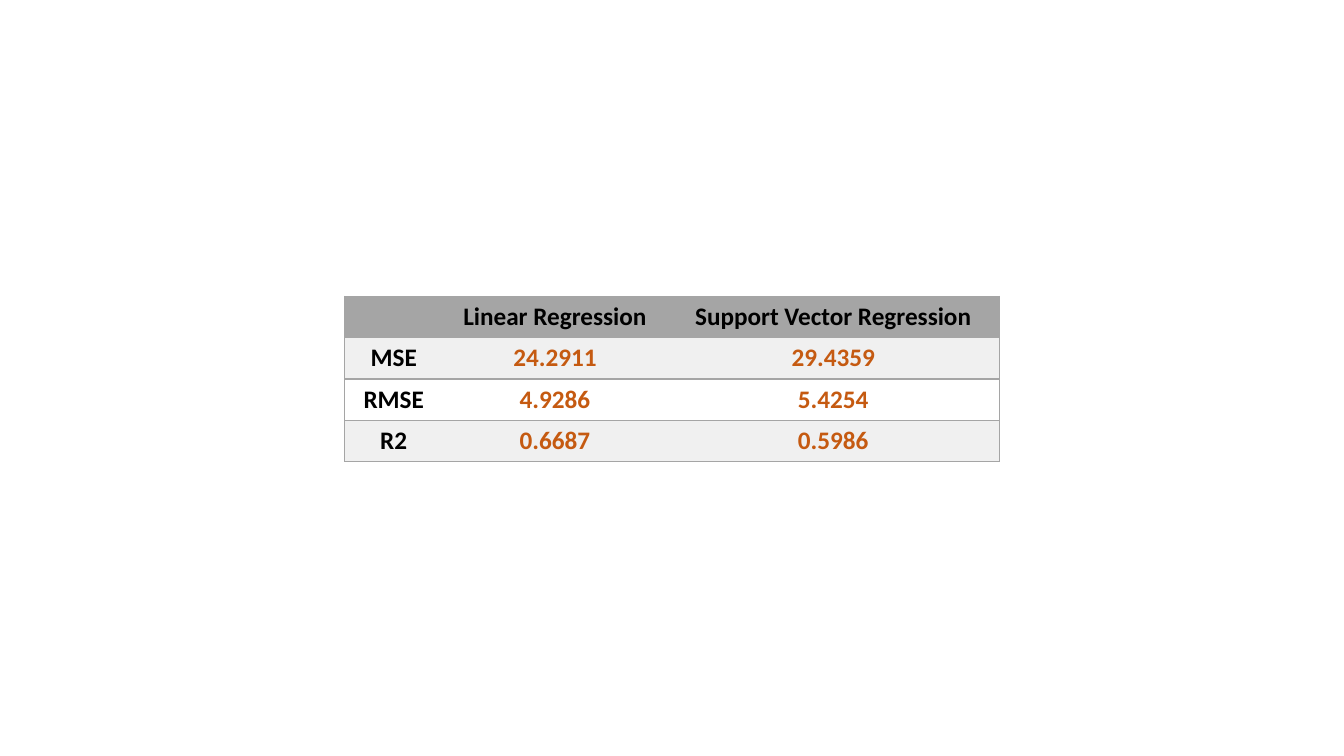
import pptx
import pptx.dml.color
import pptx.enum.text
import pptx.oxml.ns
import pptx.util
from lxml import etree

RGBColor = pptx.dml.color.RGBColor
GREY = RGBColor(0xA5, 0xA5, 0xA5)
PALE = RGBColor(0xF0, 0xF0, 0xF0)
WHITE = RGBColor(0xFF, 0xFF, 0xFF)
BLACK = RGBColor(0x00, 0x00, 0x00)
ORANGE = RGBColor(0xC5, 0x5A, 0x11)

EMU_PER_PX = 9144  # 100 px to the inch

SCORES = [
    ["", "Linear Regression", "Support Vector Regression"],
    ["MSE", "24.2911", "29.4359"],
    ["RMSE", "4.9286", "5.4254"],
    ["R2", "0.6687", "0.5986"],
]


def px(length):
    return pptx.util.Emu(length * EMU_PER_PX)


def write_text(frame, text, *, font, size, color, bold=False):
    para = frame.paragraphs[0]
    para.alignment = pptx.enum.text.PP_ALIGN.CENTER
    if not text:
        return
    span = para.add_run()
    span.text = text
    span.font.name = font
    span.font.size = pptx.util.Pt(size)
    span.font.bold = bold
    span.font.color.rgb = color


class SlideBuilder:
    font = "Calibri"
    text_size = 18
    line_width = 1

    def __init__(self, page):
        self.page = page

    def border(self, cell, lined_sides):
        """Line the given sides of a cell and clear the others."""
        properties = cell._tc.get_or_add_tcPr()
        qn = pptx.oxml.ns.qn
        for side in "LRTB":
            line = etree.SubElement(properties, qn(f"a:ln{side}"))
            line.set("w", str(pptx.util.Pt(self.line_width)))
            if side in lined_sides:
                fill = etree.SubElement(line, qn("a:solidFill"))
                etree.SubElement(fill, qn("a:srgbClr")).set("val", str(GREY))
            else:
                etree.SubElement(line, qn("a:noFill"))

    def table(self, left, top, widths, row_height, rows):
        frame = self.page.shapes.add_table(
            len(rows), len(widths), px(left), px(top),
            px(sum(widths)), px(row_height * len(rows)))
        table = frame.table
        table.first_row = table.horz_banding = False
        for column, width in zip(table.columns, widths):
            column.width = px(width)
        for i, texts in enumerate(rows):
            table.rows[i].height = px(row_height)
            row_fill = GREY if i == 0 else PALE if i % 2 else WHITE
            for j, text in enumerate(texts):
                cell = table.cell(i, j)
                sides = "TB" + "L" * (j == 0) + "R" * (j == len(widths) - 1)
                self.border(cell, sides)
                cell.fill.solid()
                cell.fill.fore_color.rgb = row_fill
                color = ORANGE if i and j else BLACK
                write_text(cell.text_frame, text, font=self.font,
                           size=self.text_size, color=color, bold=True)


def main():
    deck = pptx.Presentation()
    deck.slide_width, deck.slide_height = px(1333), px(750)
    builder = SlideBuilder(deck.slides.add_slide(deck.slide_layouts[6]))

    # Regression scores
    builder.table(342, 294, [97, 223, 329], 41, SCORES)

    deck.save("out.pptx")


if __name__ == "__main__":
    main()
